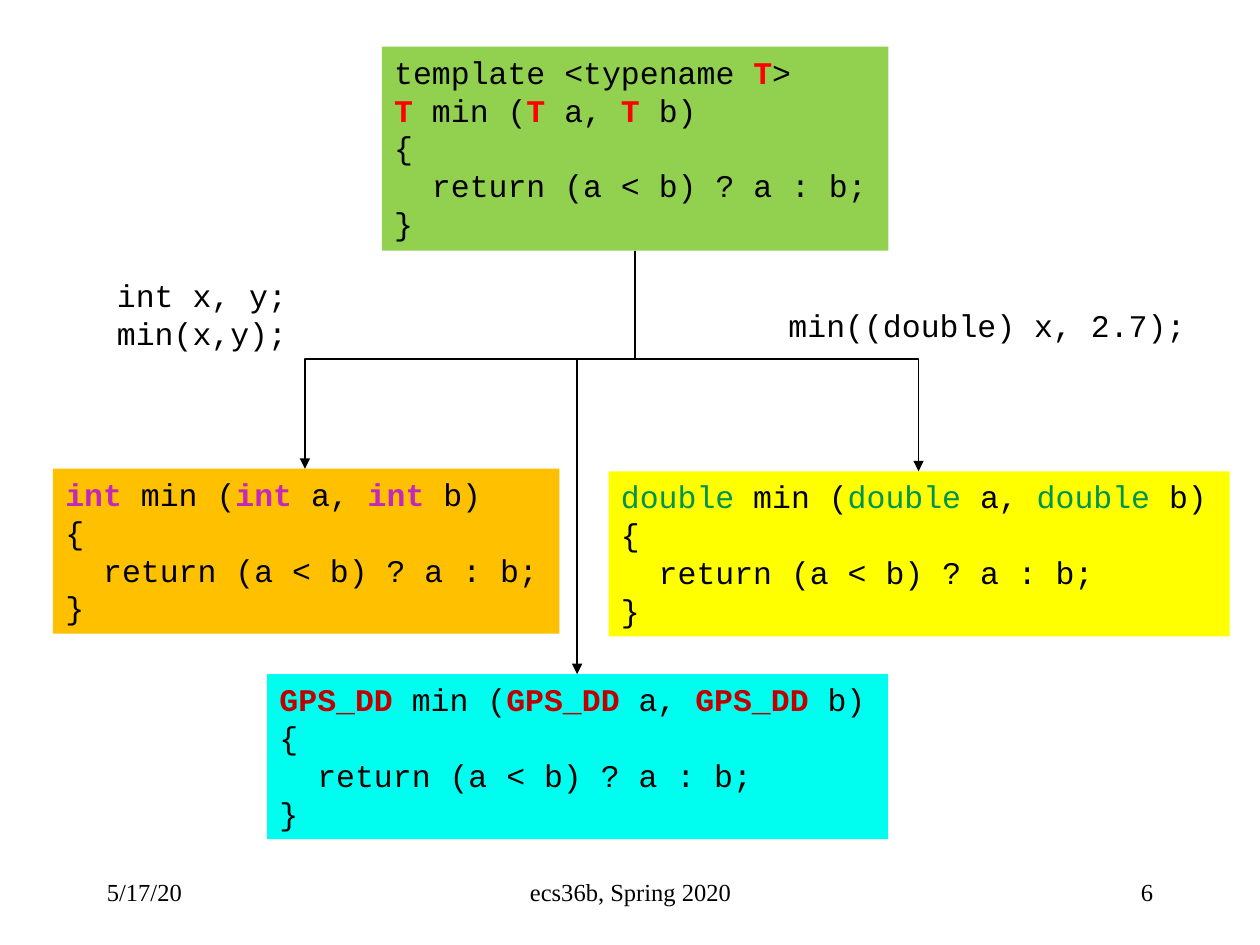
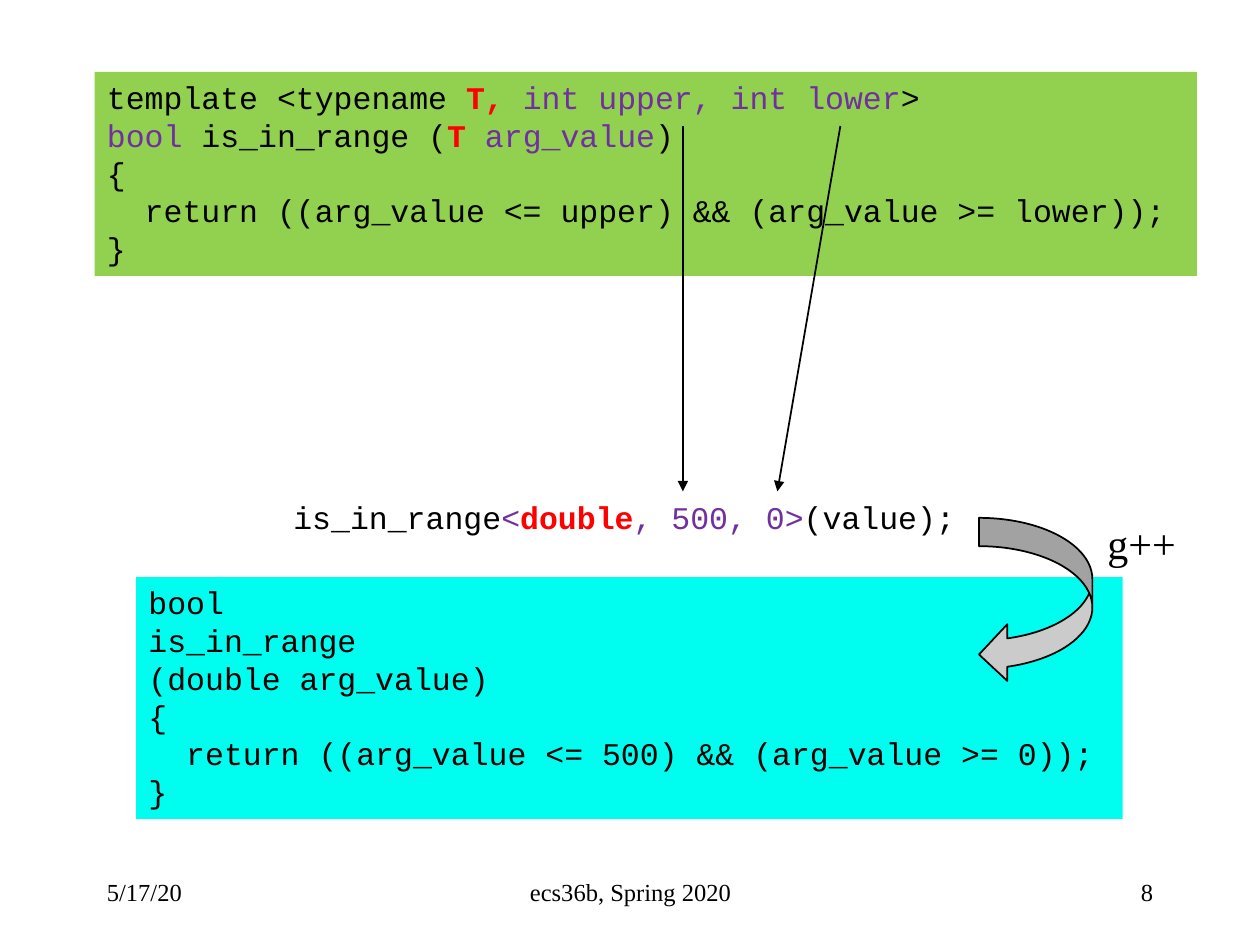
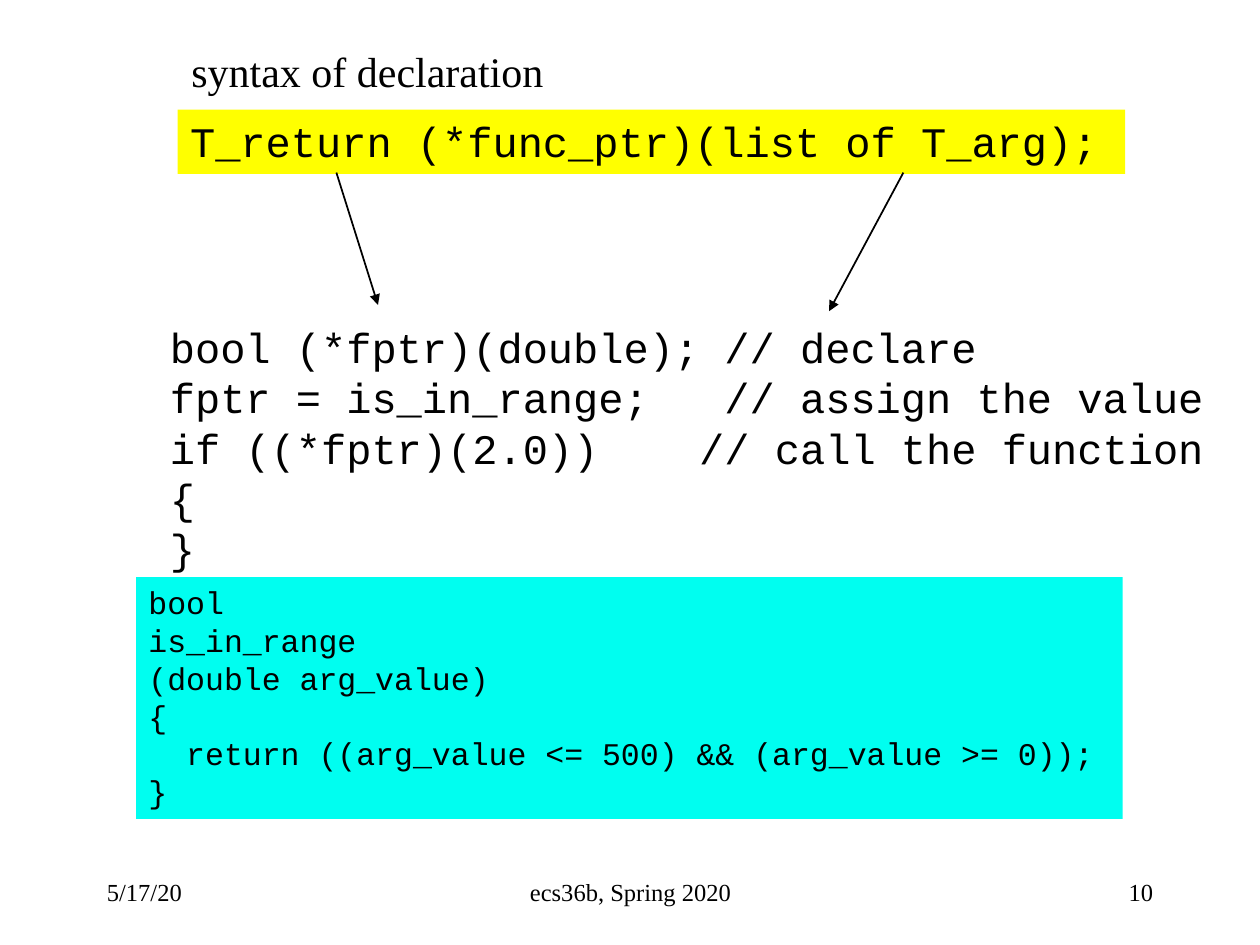
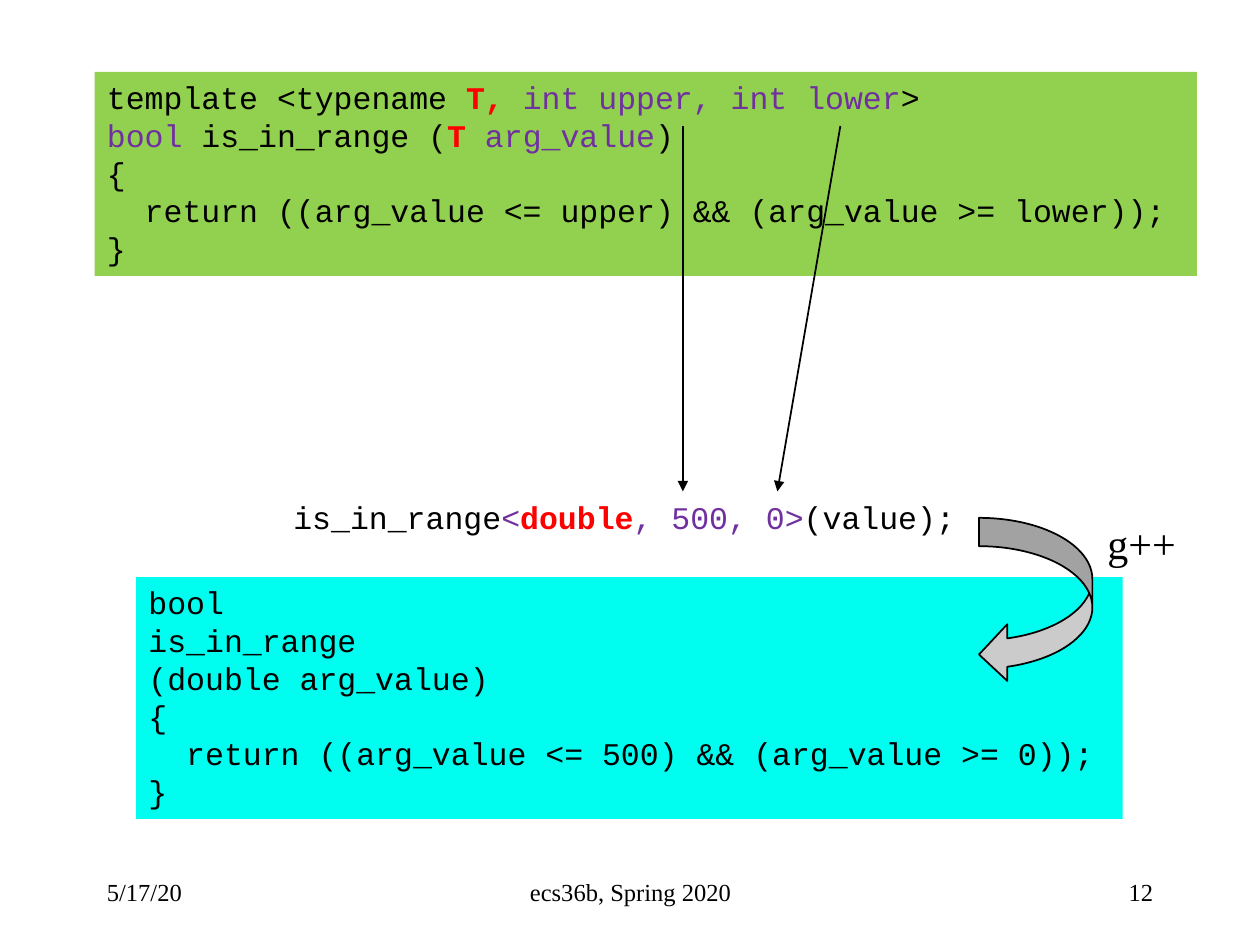
"""Four lecture slides on C++ templates and function pointers."""
from dataclasses import dataclass
from typing import Optional, Union

from pptx import Presentation
from pptx.dml.color import RGBColor
from pptx.enum.shapes import MSO_CONNECTOR, MSO_SHAPE
from pptx.enum.text import MSO_ANCHOR, MSO_AUTO_SIZE, PP_ALIGN
from pptx.oxml.ns import qn
from pptx.util import Inches, Pt
from lxml import etree

STRAIGHT, ELBOW = MSO_CONNECTOR.STRAIGHT, MSO_CONNECTOR.ELBOW
CURVED_ARROW = MSO_SHAPE.CURVED_LEFT_ARROW
TOP, MIDDLE = MSO_ANCHOR.TOP, MSO_ANCHOR.MIDDLE
LEFT, CENTER, RIGHT = PP_ALIGN.LEFT, PP_ALIGN.CENTER, PP_ALIGN.RIGHT
GROW, FIXED = MSO_AUTO_SIZE.SHAPE_TO_FIT_TEXT, MSO_AUTO_SIZE.NONE

BLACK = RGBColor(0x00, 0x00, 0x00)
RED = RGBColor(0xFF, 0x00, 0x00)
DARK_RED = RGBColor(0xC0, 0x00, 0x00)
PURPLE = RGBColor(0x70, 0x30, 0xA0)
MAGENTA = RGBColor(0xC2, 0x28, 0xBB)
DARK_GREEN = RGBColor(0x00, 0x94, 0x50)
GREEN = RGBColor(0x92, 0xD0, 0x50)
ORANGE = RGBColor(0xFF, 0xC0, 0x00)
YELLOW = RGBColor(0xFF, 0xFF, 0x00)
CYAN = RGBColor(0x00, 0xFE, 0xF0)
GREY = RGBColor(0xCB, 0xCB, 0xCB)

CODE, SERIF = "Courier New", "Times New Roman"
LINE_WIDTH = Pt(1)


@dataclass(frozen=True)
class Run:
    """A stretch of text with its own colour and weight."""
    text: str
    color: RGBColor = BLACK
    bold: bool = False


Line = Union[str, list[Run]]
Point = tuple[float, float]


@dataclass(frozen=True)
class Box:
    """A text box, with lengths in inches and the text size in points."""
    left: float
    top: float
    width: float
    height: float
    lines: list[Line]
    fill: Optional[RGBColor] = None
    size: int = 18
    font: str = CODE
    align: PP_ALIGN = LEFT
    anchor: MSO_ANCHOR = TOP
    auto_size: MSO_AUTO_SIZE = GROW
    wrap: bool = False


def signature(kind: Run) -> list[Run]:
    """Return the first line of min() with the type name highlighted."""
    return [kind, Run(" min ("), kind, Run(" a, "), kind, Run(" b)")]


MIN_BODY: list[Line] = ["{", "  return (a < b) ? a : b;", "}"]
T = Run("T", RED, True)

MIN_BOXES = [
    Box(3.03, 0.37, 4.02, 1.62,
        [[Run("template <typename "), T, Run(">")], signature(T), *MIN_BODY], GREEN),
    Box(0.42, 3.72, 4.02, 1.31,
        [signature(Run("int", MAGENTA, True)), *MIN_BODY], ORANGE),
    Box(4.83, 3.74, 4.93, 1.31,
        [signature(Run("double", DARK_GREEN)), *MIN_BODY], YELLOW),
    Box(2.12, 5.35, 4.93, 1.31,
        [signature(Run("GPS_DD", DARK_RED, True)), *MIN_BODY], CYAN),
    Box(0.83, 2.14, 1.57, 0.71, ["int x, y;", "min(x,y);"]),
    Box(6.16, 2.38, 3.4, 0.4, ["min((double) x, 2.7);"]),
]

RANGE_TEMPLATE = Box(0.75, 0.57, 8.75, 1.62, [
    [Run("template <typename "), Run("T, ", RED, True),
     Run("int upper, int lower", PURPLE), Run(">")],
    [Run("bool", PURPLE), Run(" is_in_range ("), Run("T ", RED, True),
     Run("arg_value", PURPLE), Run(")")],
    "{", "  return ((arg_value <= upper) && (arg_value >= lower));", "}",
], GREEN, wrap=True)
RANGE_CALL = Box(2.23, 3.9, 5.54, 0.4, [
    [Run("is_in_range"), Run("<", PURPLE), Run("double", RED, True),
     Run(", 500, 0>", PURPLE), Run("(value);")]])
RANGE_INSTANCE = Box(1.08, 4.58, 7.83, 1.92, [
    "bool", "is_in_range", "(double arg_value)", "{",
    "  return ((arg_value <= 500) && (arg_value >= 0));", "}"], CYAN)
COMPILER = Box(8.69, 4.06, 0.75, 0.5, ["g++"], size=24, font=SERIF)

POINTER_BOXES = [
    RANGE_INSTANCE,
    Box(1.25, 2.5, 8.74, 2.52, [
        "bool (*fptr)(double); // declare",
        "fptr = is_in_range;   // assign the value",
        "if ((*fptr)(2.0))    // call the function", "{", "}"], size=24),
    Box(1.41, 0.87, 7.52, 0.51, ["T_return (*func_ptr)(list of T_arg);"], YELLOW, 24),
    Box(1.42, 0.31, 3.02, 0.51, ["syntax of declaration"], size=24, font=SERIF),
]


def set_all(target, values: dict) -> None:
    """Set each named attribute on the target."""
    for name, value in values.items():
        setattr(target, name, value)


def add_box(s, box: Box) -> None:
    """Draw a text box, filled if it has a colour."""
    sp = s.shapes.add_textbox(*map(Inches, (box.left, box.top, box.width, box.height)))
    if box.fill is not None:
        sp.fill.solid()
        sp.fill.fore_color.rgb = box.fill
    tf = sp.text_frame
    set_all(tf, {"word_wrap": box.wrap, "auto_size": box.auto_size,
                 "vertical_anchor": box.anchor})
    for i, line in enumerate(box.lines):
        p = tf.paragraphs[0] if i == 0 else tf.add_paragraph()
        p.alignment = box.align
        for run in [Run(line)] if isinstance(line, str) else line:
            r = p.add_run()
            r.text = run.text
            set_all(r.font, {"name": box.font, "size": Pt(box.size), "bold": run.bold})
            r.font.color.rgb = run.color


def add_arrow(s, start: Point, end: Point, kind: MSO_CONNECTOR = STRAIGHT):
    """Draw a black connector with a triangle at its end."""
    cxn = s.shapes.add_connector(kind, *map(Inches, (*start, *end)))
    cxn.line.color.rgb = BLACK
    cxn.line.width = LINE_WIDTH
    etree.SubElement(cxn.line._get_or_add_ln(), qn("a:tailEnd"), type="triangle")
    etree.SubElement(cxn._element.spPr, qn("a:effectLst"))
    return cxn


def add_branch(s, start: Point, end: Point, bend: float) -> None:
    """Draw an elbow arrow that goes down, sideways at height bend, and down."""
    (x1, y1), (x2, y2) = start, end
    cx, cy = (x1 + x2) / 2, (y1 + y2) / 2
    rightward = x2 > x1
    half_run = (y2 - y1) / 2 * (-1 if rightward else 1)
    half_rise = abs(x2 - x1) / 2
    cxn = add_arrow(s, (cx - half_run, cy - half_rise),
                    (cx + half_run, cy + half_rise), ELBOW)
    spPr = cxn._element.spPr
    spPr.find(qn("a:xfrm")).set("rot", str((270 if rightward else 90) * 60000))
    guides = spPr.find(qn("a:prstGeom")).get_or_add_avLst()
    ratio = round((bend - y1) / (y2 - y1) * 100000)
    etree.SubElement(guides, qn("a:gd"), name="adj1", fmla=f"val {ratio}")


def add_slide(prs, number: int):
    """Add a blank slide with date, course and number in its footer."""
    s = prs.slides.add_slide(prs.slide_layouts[6])
    for left, width, text, align in (
            (0.75, 2.08, "5/17/20", LEFT),
            (3.42, 3.17, "ecs36b, Spring 2020", CENTER),
            (7.17, 2.08, str(number), RIGHT)):
        add_box(s, Box(left, 6.83, width, 0.5, [text], size=14, font=SERIF,
                       align=align, anchor=MIDDLE, auto_size=FIXED, wrap=True))
    return s


def min_slide(prs, number: int) -> None:
    """Show the min template and its three instances."""
    s = add_slide(prs, number)
    for box in MIN_BOXES:
        add_box(s, box)
    for end in ((2.42, 3.72), (7.29, 3.74), (4.58, 5.35)):
        add_branch(s, (5.04, 1.99), end, 2.85)


def range_slide(prs, number: int) -> None:
    """Show how the range template is instantiated by the compiler."""
    s = add_slide(prs, number)
    add_box(s, RANGE_TEMPLATE)
    add_box(s, RANGE_CALL)
    add_arrow(s, (5.42, 1), (5.42, 3.9))
    add_arrow(s, (6.67, 1), (6.17, 3.9))
    add_box(s, RANGE_INSTANCE)
    sp = s.shapes.add_shape(CURVED_ARROW, *map(Inches, (7.77, 4.11, 0.9, 1.31)))
    sp.shadow.inherit = False
    sp.fill.solid()
    sp.fill.fore_color.rgb = GREY
    sp.line.color.rgb = BLACK
    sp.line.width = LINE_WIDTH
    add_box(s, COMPILER)


def pointer_slide(prs, number: int) -> None:
    """Show how a function pointer is declared, assigned and called."""
    s = add_slide(prs, number)
    for box in POINTER_BOXES:
        add_box(s, box)
    add_arrow(s, (2.67, 1.37), (3, 2.42))
    add_arrow(s, (7.17, 1.37), (6.58, 2.47))


def main() -> None:
    """Build and save the presentation."""
    prs = Presentation()
    set_all(prs, {"slide_width": Inches(10), "slide_height": Inches(7.5)})
    min_slide(prs, 6)
    range_slide(prs, 8)
    pointer_slide(prs, 10)
    range_slide(prs, 12)
    prs.save("out.pptx")


main()
